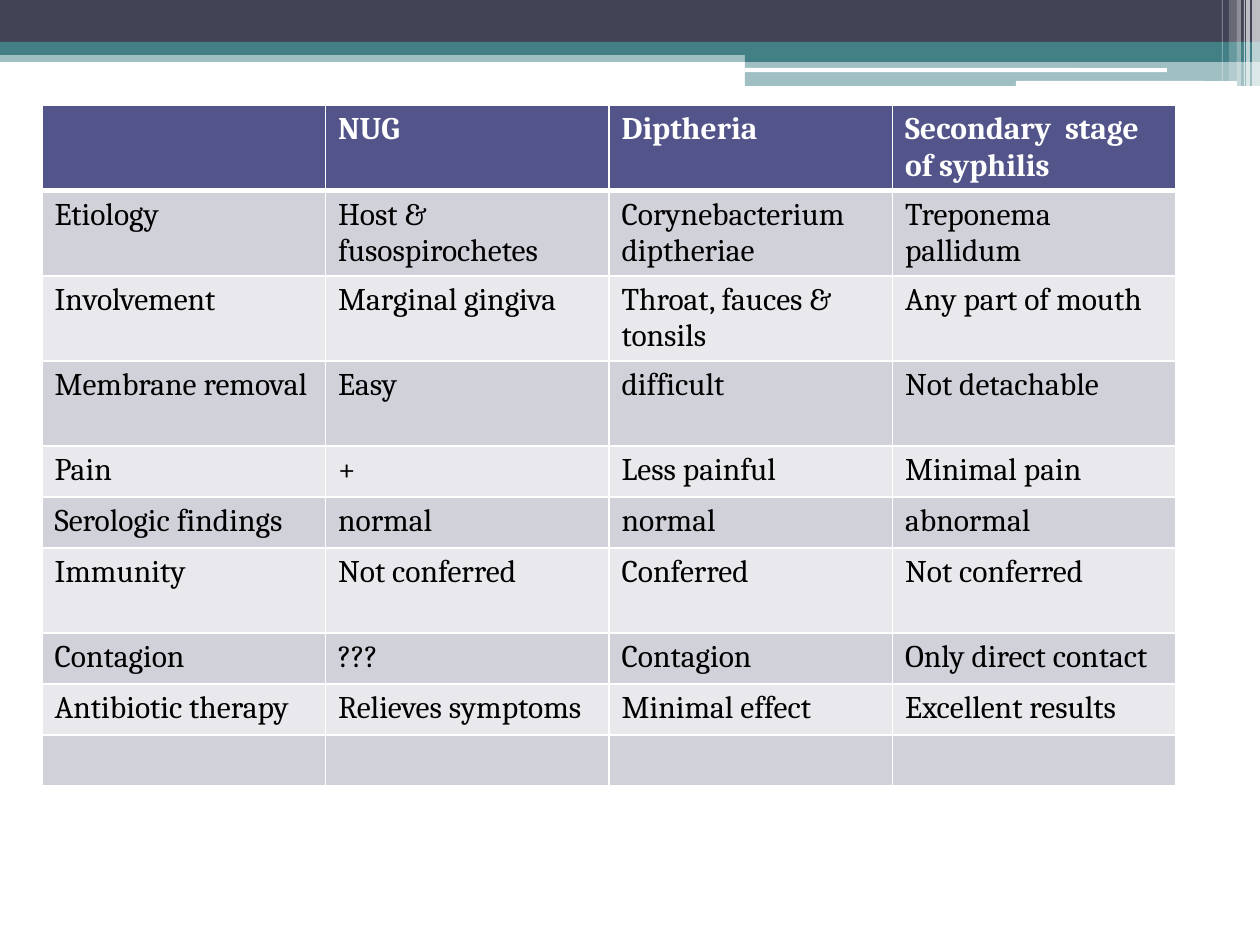
"""Build a slide comparing NUG, diptheria and secondary syphilis in a table."""
import pptx
import pptx.dml.color
import pptx.enum.shapes
import pptx.oxml
import pptx.oxml.ns
import pptx.util

PX = 914400 / 126
FONT = "Cambria"
WHITE, BLACK, TEAL, SLATE = "FFFFFF", "000000", "438086", "424456"
HEADER_FILL, BAND_FILLS = "53548A", ("D1D1DA", "E9E9ED")

BARS = [
    ("RECTANGLE", 0, 50, 1260, 12, TEAL, 50),
    ("RECTANGLE", 0, 0, 1260, 42, SLATE, 100),
    ("RECTANGLE", 0, 42, 1260, 13, TEAL, 100),
    ("RECTANGLE", 745, 49, 515, 13, TEAL, 100),
    ("RECTANGLE", 745, 62, 515, 24, TEAL, 50),
    ("ROUNDED_RECTANGLE", 745, 68, 422, 4, WHITE, 100),
    ("ROUNDED_RECTANGLE", 1016, 81, 221, 5, WHITE, 100),
]
STRIPES = [
    (1252, 8, 86, 65),
    (1246, 4, 86, 65),
    (1244, 1, 86, 60),
    (1237, 4, 86, 40),
    (1229, 8, 81, 20),
    (1222, 1, 81, 30),
]
TABLE_LEFT, TABLE_TOP, COLUMN_WIDTH = 42, 105, 283.5
TALL, SHORT = 85, 51
ROWS = [
    (TALL, "", "NUG", "Diptheria", "Secondary  stage of syphilis"),
    (TALL, "Etiology", "Host & fusospirochetes", "Corynebacterium diptheriae", "Treponema pallidum"),
    (TALL, "Involvement", "Marginal gingiva", "Throat, fauces & tonsils", "Any part of mouth"),
    (TALL, "Membrane removal", "Easy", "difficult", "Not detachable"),
    (SHORT, "Pain", "+", "Less painful", "Minimal pain"),
    (SHORT, "Serologic findings", "normal", "normal", "abnormal"),
    (TALL, "Immunity", "Not conferred", "Conferred", "Not conferred"),
    (SHORT, "Contagion", "???", "Contagion", "Only direct contact"),
    (SHORT, "Antibiotic therapy", "Relieves symptoms", "Minimal effect", "Excellent results"),
    (SHORT, "", "", "", ""),
]


def emu(pixels):
    """Turn px into EMU."""
    return pptx.util.Emu(round(pixels * PX))


def paint(fill, colour):
    """Give a fill one solid colour."""
    fill.solid()
    fill.fore_color.rgb = pptx.dml.color.RGBColor.from_string(colour)


def add_bar(slide, preset, left, top, width, height, colour, opacity):
    """Add a borderless bar with an opacity in percent."""
    kind = getattr(pptx.enum.shapes.MSO_SHAPE, preset)
    bar = slide.shapes.add_shape(kind, emu(left), emu(top), emu(width), emu(height))
    bar.shadow.inherit = False
    bar.line.fill.background()
    paint(bar.fill, colour)
    if opacity < 100:
        tone = bar.fill._xPr.find(".//" + pptx.oxml.ns.qn("a:srgbClr"))
        alpha = pptx.oxml.parse_xml(
            f'<a:alpha {pptx.oxml.ns.nsdecls("a")} val="{opacity * 1000}"/>')
        tone.append(alpha)


def write(frame, text, size=18, colour=BLACK, bold=False):
    """Put one formatted run into a text frame."""
    span = frame.paragraphs[0].add_run()
    span.text = text
    span.font.name = FONT
    span.font.size = pptx.util.Pt(size)
    span.font.bold = bold
    span.font.color.rgb = pptx.dml.color.RGBColor.from_string(colour)


def add_borders(cell, **widths):
    """Draw white cell borders, one width in points for each side."""
    properties = cell._tc.get_or_add_tcPr()
    for place, (side, width) in enumerate(widths.items()):
        line = pptx.oxml.parse_xml(
            f'<a:ln{side} {pptx.oxml.ns.nsdecls("a")} w="{pptx.util.Pt(width)}">'
            f'<a:solidFill><a:srgbClr val="{WHITE}"/></a:solidFill></a:ln{side}>')
        properties.insert(place, line)


def add_comparison(slide):
    """Add the table with a header row and alternating bands."""
    count = len(ROWS[0]) - 1
    height = sum(row[0] for row in ROWS)
    table = slide.shapes.add_table(
        len(ROWS), count, emu(TABLE_LEFT), emu(TABLE_TOP),
        emu(COLUMN_WIDTH * count), emu(height)).table
    for column in table.columns:
        column.width = emu(COLUMN_WIDTH)
    for index, (row_height, *texts) in enumerate(ROWS):
        table.rows[index].height = emu(row_height)
        header = index == 0
        for cell, text in zip(table.rows[index].cells, texts):
            paint(cell.fill, HEADER_FILL if header else BAND_FILLS[(index - 1) % 2])
            add_borders(cell, L=1, R=1, T=3 if index == 1 else 1, B=3 if header else 1)
            if text:
                write(cell.text_frame, text, colour=WHITE if header else BLACK, bold=header)


def main():
    """Build and save the deck."""
    deck = pptx.Presentation()
    deck.slide_width, deck.slide_height = emu(1260), emu(945)
    page = deck.slides.add_slide(deck.slide_layouts[6])
    for bar in BARS:
        add_bar(page, *bar)
    for left, width, height, opacity in STRIPES:
        add_bar(page, "RECTANGLE", left, 0, width, height, WHITE, opacity)
    add_comparison(page)
    deck.save("out.pptx")


if __name__ == "__main__":
    main()
